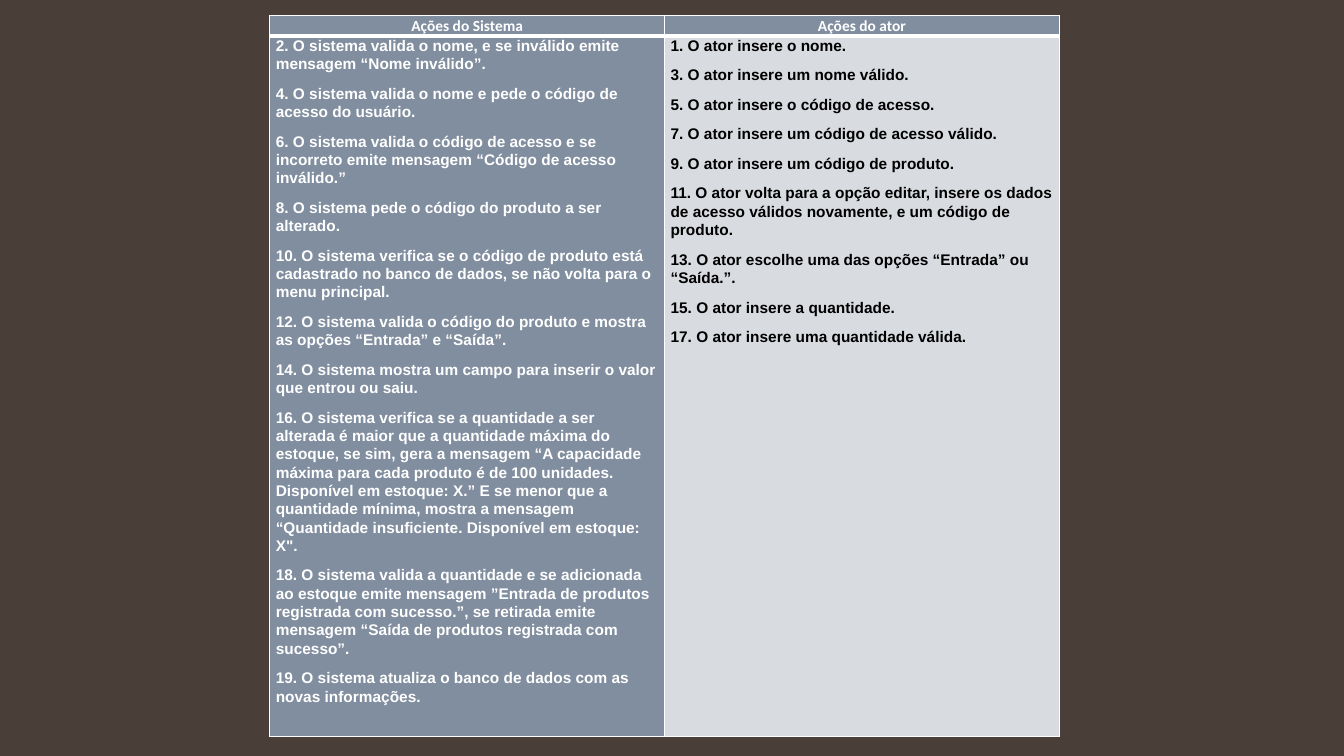
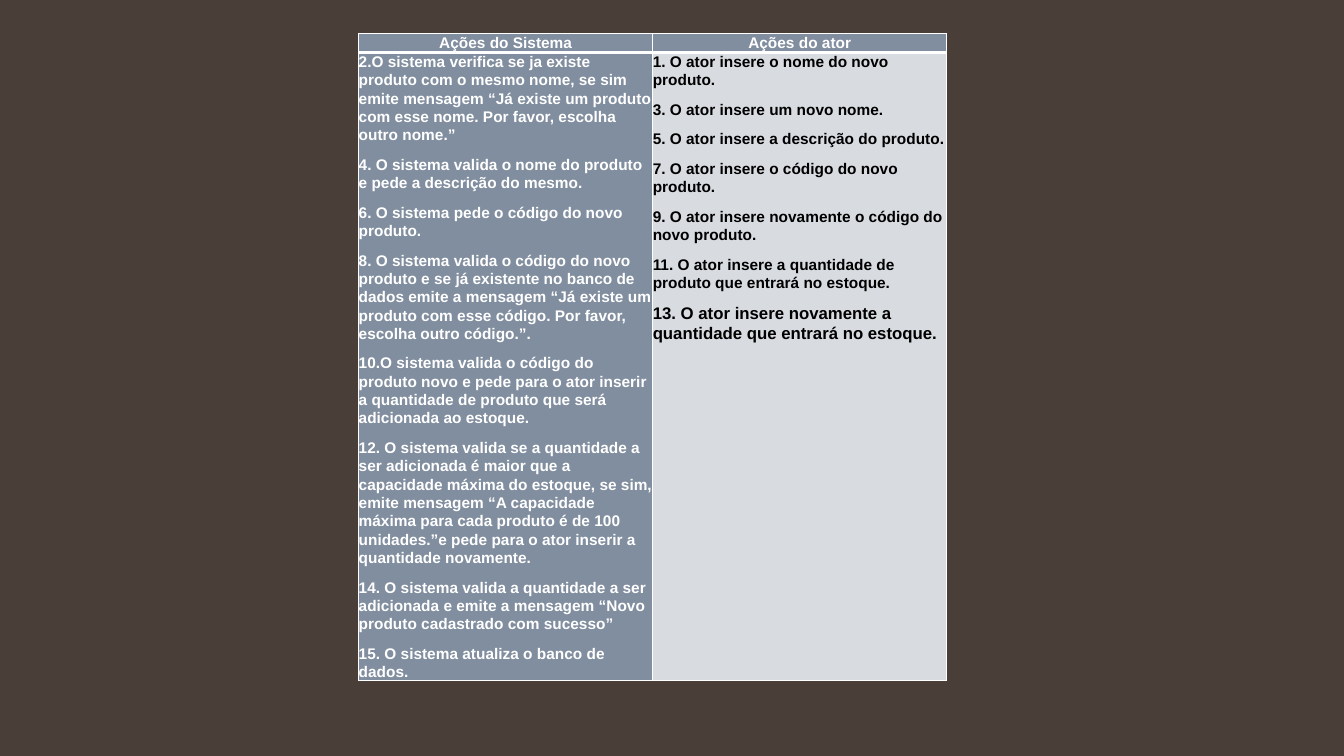
"""Build two slides that tabulate system and actor actions."""
from lxml import etree
from pptx import Presentation
from pptx.dml.color import RGBColor
from pptx.enum.text import PP_ALIGN
from pptx.oxml.ns import qn
from pptx.util import Cm, Pt

CENTER, LEFT = PP_ALIGN.CENTER, PP_ALIGN.LEFT
BLANK_LAYOUT = 6
COLORS = {"background": "4A3F38", "slate": "818E9F", "pale": "D8DBDF",
          "white": "FFFFFF", "black": "000000"}
HEADERS = ("Ações do Sistema", "Ações do ator")
COLUMN_STYLES = (("slate", "white"), ("pale", "black"))

EDIT_SYSTEM = (
    "2. O sistema valida o nome, e se inválido emite mensagem “Nome inválido”.",
    "4. O sistema valida o nome e pede o código de acesso do usuário.",
    "6. O sistema valida o código de acesso e se incorreto emite mensagem "
    "“Código de acesso inválido.”",
    "8. O sistema pede o código do produto a ser alterado.",
    "10. O sistema verifica se o código de produto está cadastrado no banco de dados, "
    "se não volta para o menu principal.",
    "12. O sistema valida o código do produto e mostra as opções “Entrada” e “Saída”.",
    "14. O sistema mostra um campo para inserir o valor que entrou ou saiu.",
    "16. O sistema verifica se a quantidade a ser alterada é maior que a quantidade "
    "máxima do estoque, se sim, gera a mensagem “A capacidade máxima para cada produto "
    "é de 100 unidades. Disponível em estoque: X.” E se menor que a quantidade mínima, "
    "mostra a mensagem “Quantidade insuficiente. Disponível em estoque: X\".",
    "18. O sistema valida a quantidade e se adicionada ao estoque emite mensagem "
    "”Entrada de produtos registrada com sucesso.”, se retirada emite mensagem "
    "“Saída de produtos registrada com sucesso”.",
    "19. O sistema atualiza o banco de dados com as novas informações.",
)
EDIT_ACTOR = (
    "1. O ator insere o nome.",
    "3. O ator insere um nome válido.",
    "5. O ator insere o código de acesso.",
    "7. O ator insere um código de acesso válido.",
    "9. O ator insere um código de produto.",
    "11. O ator volta para a opção editar, insere os dados de acesso válidos novamente, "
    "e um código de produto.",
    "13. O ator escolhe uma das opções “Entrada” ou “Saída.”.",
    "15. O ator insere a quantidade.",
    "17. O ator insere uma quantidade válida.",
)
CREATE_SYSTEM = (
    "2.O sistema verifica se ja existe produto com o mesmo nome, se sim emite mensagem "
    "“Já existe um produto com esse nome. Por favor, escolha outro nome.”",
    "4. O sistema valida o nome do produto e pede a descrição do mesmo.",
    "6. O sistema pede o código do novo produto.",
    "8. O sistema valida o código do novo produto e se já existente no banco de dados "
    "emite a mensagem “Já existe um produto com esse código. Por favor, escolha outro "
    "código.”.",
    "10.O sistema valida o código do produto novo e pede para o ator inserir a "
    "quantidade de produto que será adicionada ao estoque.",
    "12. O sistema valida se a quantidade a ser adicionada é maior que a capacidade "
    "máxima do estoque, se sim, emite mensagem “A capacidade máxima para cada produto "
    "é de 100 unidades.”e pede para o ator inserir a quantidade novamente.",
    "14. O sistema valida a quantidade a ser adicionada e emite a mensagem “Novo "
    "produto cadastrado com sucesso”",
    "15. O sistema atualiza o banco de dados.",
)
CREATE_ACTOR = (
    "1. O ator insere o nome do novo produto.",
    "3. O ator insere um novo nome.",
    "5. O ator insere a descrição do produto.",
    "7. O ator insere o código do novo produto.",
    "9. O ator insere novamente o código do novo produto.",
    "11. O ator insere a quantidade de produto que entrará no estoque.",
    "13. O ator insere novamente a quantidade que entrará no estoque.",
)


class ActionDeck:
    """Hold the shared style and the current page."""

    def __init__(self):
        self.deck = Presentation()
        self.deck.slide_width, self.deck.slide_height = Cm(33.87), Cm(19.05)
        self.page = None

    def color(self, name):
        return RGBColor.from_string(COLORS[name])

    def add_page(self):
        self.page = self.deck.slides.add_slide(self.deck.slide_layouts[BLANK_LAYOUT])
        fill = self.page.background.fill
        fill.solid()
        fill.fore_color.rgb = self.color("background")

    def add_borders(self, cell, widths):
        properties = cell._tc.get_or_add_tcPr()
        for side, width in zip("LRTB", widths):
            line = etree.SubElement(properties, qn(f"a:ln{side}"), w=str(Pt(width)))
            solid = etree.SubElement(line, qn("a:solidFill"))
            etree.SubElement(solid, qn("a:srgbClr"), val=COLORS["white"])

    def fill_cell(self, cell, fill, borders, inset):
        self.add_borders(cell, borders)
        cell.fill.solid()
        cell.fill.fore_color.rgb = self.color(fill)
        cell.margin_left = cell.margin_right = Cm(inset)
        cell.margin_top = cell.margin_bottom = 0

    def write_cell(self, cell, lines, color, font="Arial", align=LEFT):
        cell.text = "\n".join(lines)
        for paragraph in cell.text_frame.paragraphs:
            paragraph.alignment = align
            paragraph.line_spacing = 1.07
            paragraph.space_after = Pt(8)
            paragraph.font.name = font
            paragraph.font.size = Pt(11)
            paragraph.font.bold = True
            paragraph.font.color.rgb = self.color(color)

    def add_action_table(self, left, top, column_width, row_heights, columns,
                         inset=0, header_font="Arial"):
        frame = self.page.shapes.add_table(2, 2, Cm(left), Cm(top),
                                           Cm(2 * column_width), Cm(sum(row_heights)))
        table = frame.table
        for row, height in zip(table.rows, row_heights):
            row.height = Cm(height)
        for index, (fill, color) in enumerate(COLUMN_STYLES):
            table.columns[index].width = Cm(column_width)
            header, body = table.cell(0, index), table.cell(1, index)
            self.fill_cell(header, "slate", (1, 1, 1, 3), inset)
            self.write_cell(header, [HEADERS[index]], "white", header_font, CENTER)
            self.fill_cell(body, fill, (1, 1, 3, 1), inset)
            self.write_cell(body, columns[index], color)
        return table


def main():
    actions = ActionDeck()
    actions.add_page()
    actions.add_action_table(6.8, 0.4, 9.95, (0.47, 17.65), (EDIT_SYSTEM, EDIT_ACTOR),
                             inset=0.15, header_font="Calibri")
    actions.add_page()
    table = actions.add_action_table(9.04, 0.85, 7.41, (0.47, 15.8),
                                     (CREATE_SYSTEM, CREATE_ACTOR))
    table.cell(1, 1).text_frame.paragraphs[-1].font.size = Pt(12)
    actions.deck.save("out.pptx")


if __name__ == "__main__":
    main()
